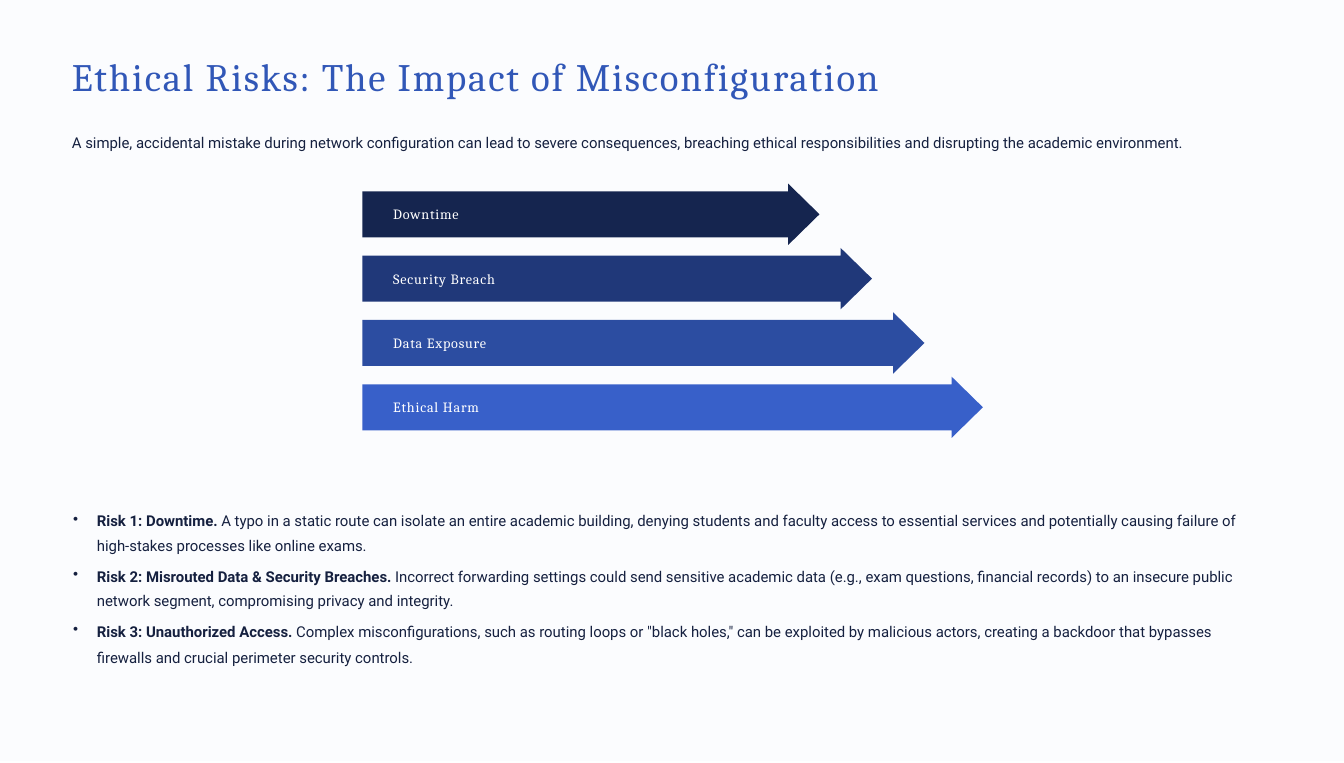
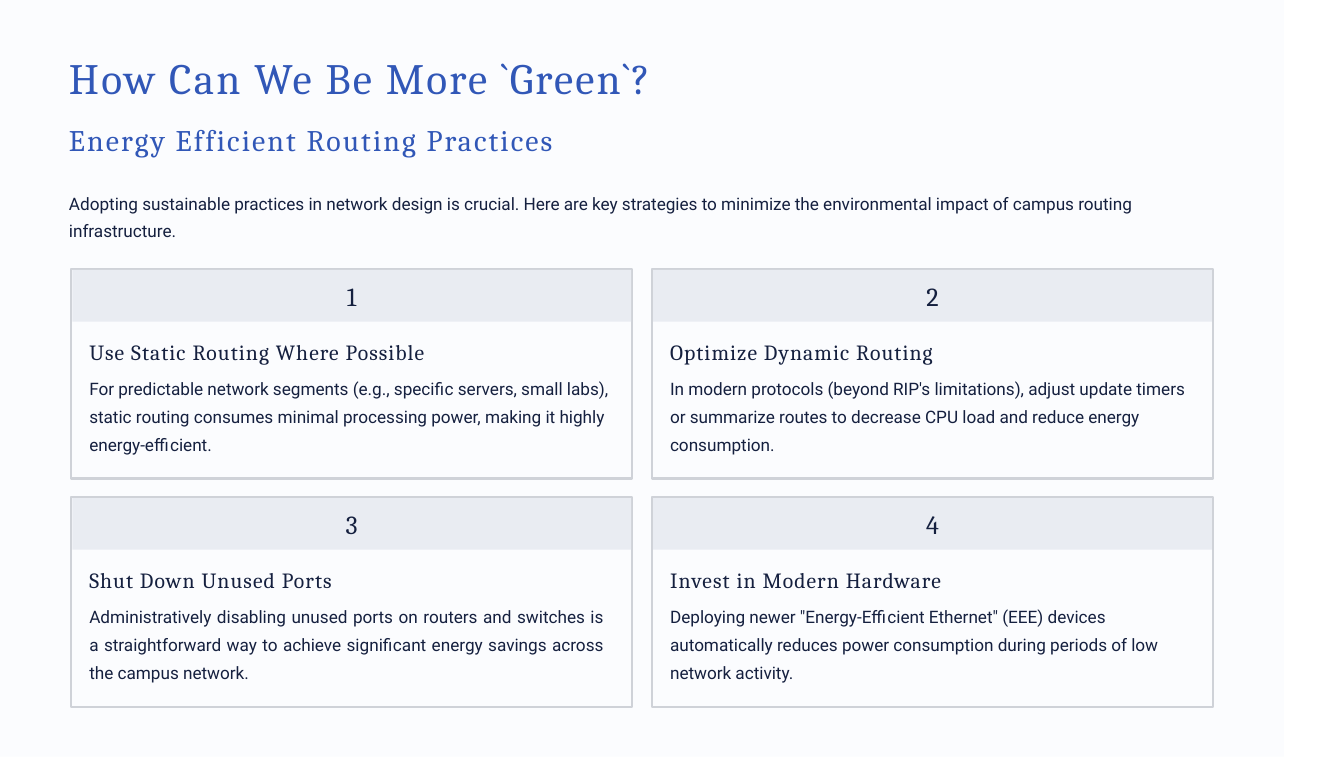
from dataclasses import dataclass, replace
from typing import Optional

from lxml import etree
from pptx import Presentation
from pptx import util as u
from pptx.dml import color
from pptx.enum import shapes, text
from pptx.oxml import ns


# Theme: colours and type styles
@dataclass(frozen=True)
class Style:
    font: str
    size: float
    colour: str
    tracking: float = 0
    bold: bool = False


@dataclass(frozen=True)
class Theme:
    panel: str = "FBFCFE"
    band: str = "E9ECF2"
    border: str = "CFD2D8"
    border_width: float = 1.43
    arrows: tuple = ("15254F", "203879", "2C4DA1", "3860C9")
    title: Style = Style("Cambria", 26, "3157B7", 1.23)
    large_title: Style = Style("Cambria", 29, "3157B7", 1.48)
    subtitle: Style = Style("Cambria", 20, "3157B7", 1.4)
    arrow_label: Style = Style("Cambria", 9.5, "FFFFFF", 0.55)
    number: Style = Style("Cambria", 17.5, "15203F")
    card_title: Style = Style("Cambria", 14.5, "15203F", 0.7)
    body: Style = Style("Roboto", 10, "15203F")
    large_body: Style = Style("Roboto", 11.5, "15203F", -0.04)


THEME = Theme()


# Content records; lengths are in centimetres
@dataclass(frozen=True)
class Box:
    left: float
    top: float
    width: float
    height: float


@dataclass(frozen=True)
class Para:
    runs: tuple  # (wording, Style) pairs
    spacing: Optional[float] = None
    before: float = 0
    align: text.PP_ALIGN = text.PP_ALIGN.LEFT
    bullet: bool = False
    right_margin: float = 0


@dataclass(frozen=True)
class Impact:
    label: str
    length: float


@dataclass(frozen=True)
class Risk:
    name: str
    detail: str
    spacing: float = 1.38
    before: float = 3.8
    right_margin: float = 0


@dataclass(frozen=True)
class Practice:
    title: str
    detail: str
    text_width: float
    align: text.PP_ALIGN = text.PP_ALIGN.LEFT


IMPACTS = (
    Impact("Downtime", 10.8),
    Impact("Security Breach", 12.04),
    Impact("Data Exposure", 13.28),
    Impact("Ethical Harm", 14.66),
)

RISKS = (
    Risk("Risk 1: Downtime. ",
         "A typo in a static route can isolate an entire academic building, denying "
         "students and faculty access to essential services and potentially causing "
         "failure of high-stakes processes like online exams.", before=0),
    Risk("Risk 2: Misrouted Data & Security Breaches. ",
         "Incorrect forwarding settings could send sensitive academic data (e.g., exam "
         "questions, financial records) to an insecure public network segment, "
         "compromising privacy and integrity.", right_margin=0.6),
    Risk("Risk 3: Unauthorized Access. ",
         "Complex misconfigurations, such as routing loops or \"black holes,\" can be "
         "exploited by malicious actors, creating a backdoor that bypasses firewalls "
         "and crucial perimeter security controls.", spacing=1.44, before=3),
)

PRACTICES = (
    Practice("Use Static Routing Where Possible",
             "For predictable network segments (e.g., specific servers, small labs), "
             "static routing consumes minimal processing power, making it highly "
             "energy-efficient.", 12.32),
    Practice("Optimize Dynamic Routing",
             "In modern protocols (beyond RIP's limitations), adjust update timers or "
             "summarize routes to decrease CPU load and reduce energy consumption.", 12.4),
    Practice("Shut Down Unused Ports",
             "Administratively disabling unused ports on routers and switches is a "
             "straightforward way to achieve significant energy savings across the "
             "campus network.", 12.14, text.PP_ALIGN.JUSTIFY),
    Practice("Invest in Modern Hardware",
             "Deploying newer \"Energy-Efficient Ethernet\" (EEE) devices automatically "
             "reduces power consumption during periods of low network activity.", 11.76),
)


# Drawing helpers
def rgb(value: str) -> color.RGBColor:
    return color.RGBColor.from_string(value)


def place(box: Box) -> tuple:
    return tuple(u.Cm(n) for n in (box.left, box.top, box.width, box.height))


def add_bullet(paragraph, hang: float) -> None:
    props = paragraph._p.get_or_add_pPr()
    props.set("marL", str(u.Cm(hang)))
    props.set("indent", str(-u.Cm(hang)))
    etree.SubElement(props, ns.qn("a:buChar")).set("char", "•")


def write(frame, paras: tuple, left_inset: float = 0) -> None:
    frame.word_wrap = True
    frame.margin_left = u.Cm(left_inset)
    frame.margin_top = frame.margin_right = frame.margin_bottom = 0
    for index, para in enumerate(paras):
        paragraph = frame.add_paragraph() if index else frame.paragraphs[0]
        if para.bullet:
            add_bullet(paragraph, 0.56)
        if para.right_margin:
            paragraph._p.get_or_add_pPr().set("marR", str(u.Cm(para.right_margin)))
        paragraph.alignment = para.align
        if para.spacing:
            paragraph.line_spacing = para.spacing
        if para.before:
            paragraph.space_before = u.Pt(para.before)
        for wording, style in para.runs:
            run = paragraph.add_run()
            run.text = wording
            run.font.name = style.font
            run.font.size = u.Pt(style.size)
            run.font.bold = style.bold
            run.font.color.rgb = rgb(style.colour)
            if style.tracking:
                run._r.get_or_add_rPr().set("spc", str(round(style.tracking * 100)))


def add_text(slide, box: Box, *paras: Para) -> None:
    write(slide.shapes.add_textbox(*place(box)).text_frame, paras)


def add_block(slide, box: Box, fill: str, kind=shapes.MSO_SHAPE.RECTANGLE,
              border: Optional[str] = None):
    block = slide.shapes.add_shape(kind, *place(box))
    block.shadow.inherit = False
    block.fill.solid()
    block.fill.fore_color.rgb = rgb(fill)
    if border:
        block.line.color.rgb = rgb(border)
        block.line.width = u.Pt(THEME.border_width)
    else:
        block.line.fill.background()
    block.text_frame.vertical_anchor = text.MSO_ANCHOR.MIDDLE
    return block


def new_slide(deck, panel_width: float, panel_height: float):
    slide = deck.slides.add_slide(deck.slide_layouts[6])
    add_block(slide, Box(0, 0, panel_width, panel_height), THEME.panel)
    return slide


def add_arrow(slide, row: int, impact: Impact) -> None:
    box = Box(8.56, 4.34 + row * 1.52, impact.length, 1.45)
    arrow = add_block(slide, box, THEME.arrows[row], shapes.MSO_SHAPE.RIGHT_ARROW)
    arrow.adjustments[0] = 0.75
    arrow.adjustments[1] = 0.51
    write(arrow.text_frame, (Para(((impact.label, THEME.arrow_label),)),), left_inset=0.73)


def add_card(slide, index: int, practice: Practice) -> None:
    row, column = divmod(index, 2)
    left, top = 1.68 + column * 13.72, 6.35 + row * 5.39
    width, height = 13.26, 4.96
    add_block(slide, Box(left, top, width, height), THEME.panel, border=THEME.border)
    band = add_block(slide, Box(left + 0.03, top + 0.03, width - 0.06, 1.22), THEME.band)
    write(band.text_frame, (Para(((str(index + 1), THEME.number),),
                                 align=text.PP_ALIGN.CENTER),))
    add_text(slide, Box(left + 0.43, top + 1.65, practice.text_width, 2.8),
             Para(((practice.title, THEME.card_title),), align=practice.align),
             Para(((practice.detail, THEME.large_body),), 1.35, 4.4, practice.align))


# Slides
def build_risks(deck) -> None:
    slide = new_slide(deck, 31.75, 17.98)
    add_text(slide, Box(1.7, 1.24, 28.35, 1.37),
             Para((("Ethical Risks: The Impact of Misconfiguration", THEME.title),)))
    add_text(slide, Box(1.7, 3.15, 28.2, 0.5),
             Para((("A simple, accidental mistake during network configuration can lead to "
                    "severe consequences, breaching ethical responsibilities and disrupting "
                    "the academic environment.", THEME.body),)))
    for row, impact in enumerate(IMPACTS):
        add_arrow(slide, row, impact)
    lead = replace(THEME.body, bold=True)
    add_text(slide, Box(1.73, 11.94, 28.17, 3.86),
             *(Para(((risk.name, lead), (risk.detail, THEME.body)), risk.spacing,
                    risk.before, bullet=True, right_margin=risk.right_margin)
               for risk in RISKS))


def build_practices(deck) -> None:
    slide = new_slide(deck, 30.33, 17.88)
    add_text(slide, Box(1.63, 1.14, 27.1, 2.5),
             Para((("How Can We Be More `Green`?", THEME.large_title),), u.Pt(36.5)),
             Para((("Energy Efficient Routing Practices", THEME.subtitle),), u.Pt(36.5)))
    add_text(slide, Box(1.63, 4.39, 25.55, 1.4),
             Para((("Adopting sustainable practices in network design is crucial. Here are "
                    "key strategies to minimize the environmental impact of campus routing "
                    "infrastructure.", THEME.large_body),), 1.35))
    for index, practice in enumerate(PRACTICES):
        add_card(slide, index, practice)


def main() -> None:
    deck = Presentation()
    deck.slide_width, deck.slide_height = u.Cm(31.75), u.Cm(18.03)
    build_risks(deck)
    build_practices(deck)
    deck.save("out.pptx")


if __name__ == "__main__":
    main()
